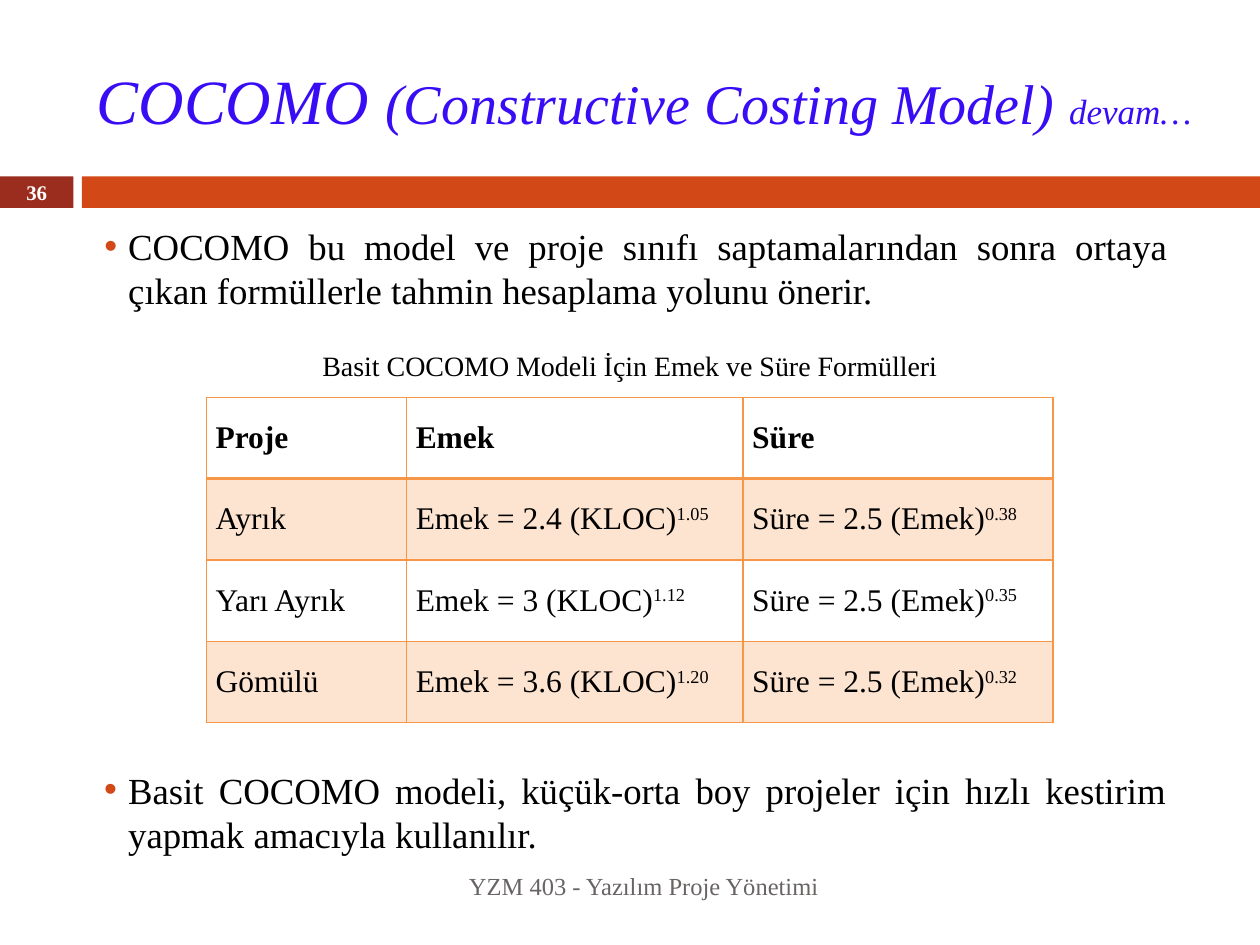
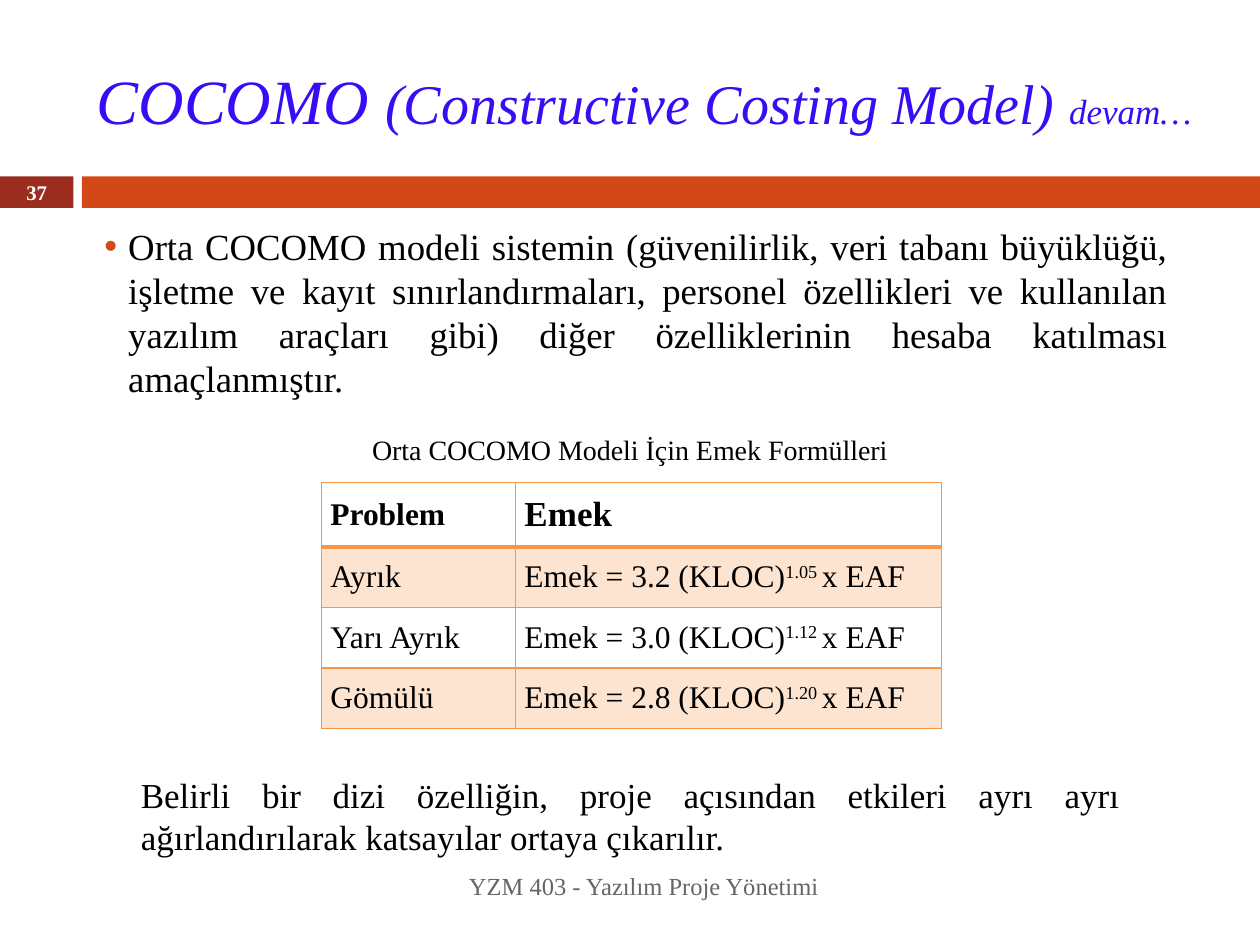
from lxml.etree import SubElement
from pptx import Presentation
from pptx.dml.color import RGBColor
from pptx.enum.shapes import MSO_SHAPE
from pptx.enum.text import MSO_ANCHOR, MSO_AUTO_SIZE, PP_ALIGN
from pptx.oxml.ns import qn
from pptx.util import Pt

FONT = "Times New Roman"
BLACK, WHITE = "000000", "FFFFFF"
TITLE_BLUE, FOOTER_GREY = "380CF4", "696464"
BAND_ORANGE, NUMBER_RED = "D34817", "9B2D1F"
GRID_ORANGE, STRIPE = "F79646", "FDE4D0"
BAND_TOP, BAND_HEIGHT = 100.8, 18
NUMBER_WIDTH, BAND_LEFT = 42, 46.8
SLIDE_WIDTH, SLIDE_HEIGHT = 720, 540
TITLE = [("COCOMO ", {"size": 36}), ("(Constructive Costing Model) ", {"size": 32}),
         ("devam…", {"size": 20})]
FOOTER = "YZM 403 - Yazılım Proje Yönetimi"


def color(value):
    return RGBColor.from_string(value)


def write(frame, content, size=18, ink=BLACK, bold=False, italic=False,
          align=PP_ALIGN.LEFT, anchor=MSO_ANCHOR.TOP, leading=None, bullet=False):
    frame.word_wrap = True
    frame.auto_size = MSO_AUTO_SIZE.NONE
    frame.vertical_anchor = anchor
    write_paragraph(frame.paragraphs[0], content, size, ink, bold, italic, align, leading)
    if bullet:
        add_bullet(frame.paragraphs[0])


def write_paragraph(paragraph, content, size, ink, bold, italic, align, leading=None):
    paragraph.alignment = align
    if leading:
        paragraph.line_spacing = Pt(leading)
    pieces = [(content, {})] if isinstance(content, str) else content
    for words, style in pieces:
        run = paragraph.add_run()
        run.text = words
        run.font.name = FONT
        run.font.size = Pt(style.get("size", size))
        run.font.bold = bold
        run.font.italic = italic
        run.font.color.rgb = color(ink)
        if style.get("raised"):
            run.font._element.set("baseline", "30000")


def add_bullet(paragraph):
    properties = paragraph._p.get_or_add_pPr()
    properties.set("marL", str(Pt(21.6)))
    properties.set("indent", str(Pt(-13.7)))
    bullet_color = SubElement(properties, qn("a:buClr"))
    SubElement(bullet_color, qn("a:srgbClr"), val=BAND_ORANGE)
    SubElement(properties, qn("a:buFont"), typeface="Arial")
    SubElement(properties, qn("a:buChar"), char="•")


def add_text(slide, area, content, **style):
    box = slide.shapes.add_textbox(*map(Pt, area))
    write(box.text_frame, content, **style)


def add_statement(slide, area, content, size=21, bullet=True, **style):
    add_text(slide, area, content, size=size, leading=size * 1.2,
             align=PP_ALIGN.JUSTIFY, bullet=bullet, **style)


def add_caption(slide, top, content):
    add_text(slide, (118, top, 484, 26.6), content, size=16, align=PP_ALIGN.CENTER)


def add_band(slide, left, width, fill):
    band = slide.shapes.add_shape(MSO_SHAPE.RECTANGLE, Pt(left), Pt(BAND_TOP),
                                  Pt(width), Pt(BAND_HEIGHT))
    band.shadow.inherit = False
    band.fill.solid()
    band.fill.fore_color.rgb = color(fill)
    band.line.fill.background()


def add_cell_borders(cell, top, bottom):
    properties = cell._tc.get_or_add_tcPr()
    for side, weight in (("lnL", 1), ("lnR", 1), ("lnT", top), ("lnB", bottom)):
        border = SubElement(properties, qn(f"a:{side}"), w=str(Pt(weight)))
        fill = SubElement(border, qn("a:solidFill"))
        SubElement(fill, qn("a:srgbClr"), val=GRID_ORANGE)


def add_formula_table(slide, left, top, widths, heights, rows):
    table = slide.shapes.add_table(len(rows), len(widths), Pt(left), Pt(top),
                                   Pt(sum(widths)), Pt(sum(heights))).table
    table.first_row = table.horz_banding = False
    for column, width in zip(table.columns, widths):
        column.width = Pt(width)
    for row, height in zip(table.rows, heights):
        row.height = Pt(height)
    for r, row in enumerate(rows):
        for c, content in enumerate(row):
            cell = table.cell(r, c)
            cell.margin_left = cell.margin_right = Pt(5.2)
            cell.margin_top = cell.margin_bottom = 0
            cell.vertical_anchor = MSO_ANCHOR.MIDDLE
            add_cell_borders(cell, 2.25 if r == 1 else 1, 2.25 if r == 0 else 1)
            cell.fill.solid()
            cell.fill.fore_color.rgb = color(STRIPE if r % 2 else WHITE)
            write_paragraph(cell.text_frame.paragraphs[0], content, 18, BLACK,
                            r == 0, False, PP_ALIGN.LEFT)


def formula(base, exponent, ending=""):
    pieces = [(base, {}), (exponent, {"raised": True})]
    return pieces + [(ending, {})] if ending else pieces


def add_cocomo_slide(deck, number):
    slide = deck.slides.add_slide(deck.slide_layouts[5])
    title = slide.shapes.title
    title.left, title.top, title.width, title.height = map(Pt, (48, 18, 642, 78))
    write(title.text_frame, TITLE, ink=TITLE_BLUE, italic=True, anchor=MSO_ANCHOR.MIDDLE)
    add_band(slide, 0, NUMBER_WIDTH, NUMBER_RED)
    add_band(slide, BAND_LEFT, SLIDE_WIDTH - BAND_LEFT, BAND_ORANGE)
    add_text(slide, (0, BAND_TOP, NUMBER_WIDTH, BAND_HEIGHT), str(number), size=11.9,
             ink=WHITE, bold=True, align=PP_ALIGN.CENTER, anchor=MSO_ANCHOR.MIDDLE)
    add_text(slide, (48, 492, 427, 28.8), FOOTER, size=14, ink=FOOTER_GREY,
             align=PP_ALIGN.RIGHT, anchor=MSO_ANCHOR.MIDDLE)
    return slide


def add_basic_model(deck):
    slide = add_cocomo_slide(deck, 36)
    add_statement(slide, (44.6, 123.8, 630, 58.3),
                  "COCOMO bu model ve proje sınıfı saptamalarından sonra ortaya çıkan "
                  "formüllerle tahmin hesaplama yolunu önerir.", anchor=MSO_ANCHOR.MIDDLE)
    add_caption(slide, 195.8, "Basit COCOMO Modeli İçin Emek ve Süre Formülleri")
    projects = [("Ayrık", "2.4", "1.05", "0.38"), ("Yarı Ayrık", "3", "1.12", "0.35"),
                ("Gömülü", "3.6", "1.20", "0.32")]
    rows = [("Proje", "Emek", "Süre")]
    rows += [(project, formula(f"Emek = {factor} (KLOC)", effort),
              formula("Süre = 2.5 (Emek)", duration))
             for project, factor, effort, duration in projects]
    add_formula_table(slide, 118, 227, (114.4, 192.3, 177.1), [46.5] * 4, rows)
    add_statement(slide, (44.6, 434.9, 629.3, 58.3),
                  "Basit COCOMO modeli, küçük-orta boy projeler için hızlı kestirim "
                  "yapmak amacıyla kullanılır.")


def add_intermediate_model(deck):
    slide = add_cocomo_slide(deck, 37)
    add_statement(slide, (44.6, 123.8, 630, 108.7),
                  "Orta COCOMO modeli sistemin (güvenilirlik, veri tabanı büyüklüğü, işletme "
                  "ve kayıt sınırlandırmaları, personel özellikleri ve kullanılan yazılım "
                  "araçları gibi) diğer özelliklerinin hesaba katılması amaçlanmıştır.",
                  anchor=MSO_ANCHOR.MIDDLE)
    add_caption(slide, 243.4, "Orta COCOMO Modeli İçin Emek Formülleri")
    problems = [("Ayrık", "3.2", "1.05 "), ("Yarı Ayrık", "3.0", "1.12 "),
                ("Gömülü", "2.8", "1.20 ")]
    rows = [("Problem", [("Emek", {"size": 20})])]
    rows += [(problem, formula(f"Emek = {factor} (KLOC)", exponent, "x EAF"))
             for problem, factor, exponent in problems]
    add_formula_table(slide, 183.6, 275.8, (110.9, 243.4), [36.7] + [34.6] * 3, rows)
    add_statement(slide, (73.4, 438.5, 573.8, 55.4),
                  "Belirli bir dizi özelliğin, proje açısından etkileri ayrı ayrı "
                  "ağırlandırılarak katsayılar ortaya çıkarılır.", size=20, bullet=False)


def main():
    deck = Presentation()
    deck.slide_width, deck.slide_height = Pt(SLIDE_WIDTH), Pt(SLIDE_HEIGHT)
    add_basic_model(deck)
    add_intermediate_model(deck)
    deck.save("out.pptx")


if __name__ == "__main__":
    main()
